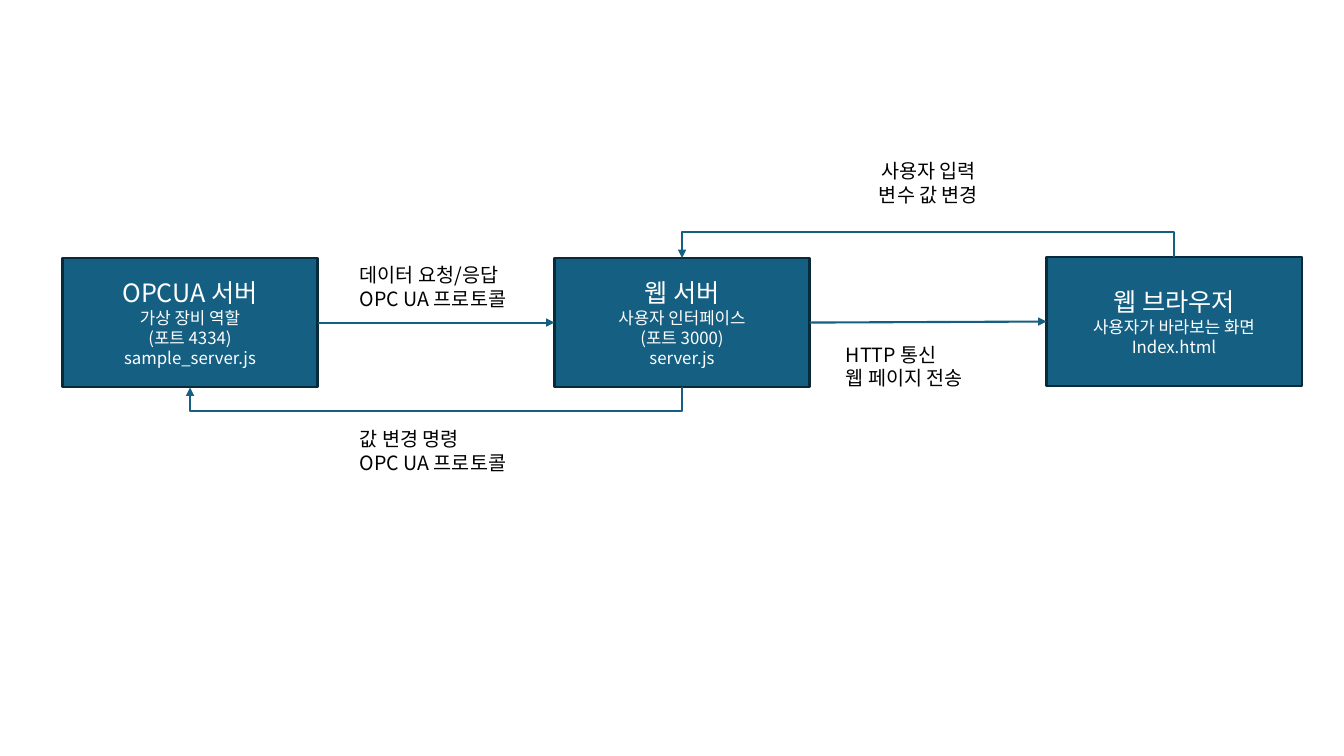
import pptx
import pptx.dml.color
import pptx.enum.shapes
import pptx.enum.text
import pptx.oxml
import pptx.oxml.ns
import pptx.util
from pptx.util import Inches

FONT = "Noto Sans CJK KR"
COLORS = {"box": "156082", "border": "092A39", "light": "FFFFFF", "dark": "000000"}
BOX_W, BOX_H = 2.53, 1.28
LABEL_W, LABEL_H = 1.84, 0.57
TOP, LEFT, BOTTOM, RIGHT = range(4)
BEND, DRIFT = 0.25, 0.01  # depth of an elbow; least width of its frame

# name: (left, top, lines)
BOXES = {
    "opcua": (0.62, 2.56, ["OPCUA 서버", "가상 장비 역할", "(포트 4334)", "sample_server.js"]),
    "browser": (10.38, 2.55, ["웹 브라우저", "사용자가 바라보는 화면", "Index.html"]),
    "web": (5.5, 2.56, ["웹 서버", "사용자 인터페이스", "(포트 3000)", "server.js"]),
}
ELBOWS = [("web", "opcua", BOTTOM), ("browser", "web", TOP)]
ARROWS = [("opcua", "web"), ("web", "browser")]
# (left, top, centred, lines)
LABELS = [
    (3.47, 2.56, False, ["데이터 요청/응답", "OPC UA 프로토콜"]),
    (3.47, 4.19, False, ["값 변경 명령", "OPC UA 프로토콜"]),
    (8.29, 3.35, False, ["HTTP 통신", "웹 페이지 전송"]),
    (8.29, 1.53, True, ["사용자 입력", "변수 값 변경"]),
]


def rgb(name):
    return pptx.dml.color.RGBColor.from_string(COLORS[name])


def add_xml(parent, tag, **attrs):
    el = pptx.oxml.parse_xml(f"<a:{tag} {pptx.oxml.ns.nsdecls('a')}/>")
    for key, value in attrs.items():
        el.set(key, value)
    parent.append(el)


def write_lines(sp, lines, sizes, color, centred):
    tf = sp.text_frame
    tf.word_wrap = True
    tf.text = "\n".join(lines)
    align = pptx.enum.text.PP_ALIGN
    for p, size in zip(tf.paragraphs, sizes):
        p.alignment = align.CENTER if centred else align.LEFT
        for r in p.runs:
            r.font.size = pptx.util.Pt(size)
            r.font.name = FONT
            r.font.color.rgb = rgb(color)
            add_xml(r.font._element, "ea", typeface=FONT)


def add_box(slide, left, top, lines):
    sp = slide.shapes.add_shape(pptx.enum.shapes.MSO_SHAPE.RECTANGLE,
                                Inches(left), Inches(top), Inches(BOX_W), Inches(BOX_H))
    sp.shadow.inherit = False
    sp.fill.solid()
    sp.fill.fore_color.rgb = rgb("box")
    sp.line.color.rgb = rgb("border")
    sp.line.width = pptx.util.Pt(1.5)
    sp.text_frame.vertical_anchor = pptx.enum.text.MSO_ANCHOR.MIDDLE
    write_lines(sp, lines, [18] + [12] * (len(lines) - 1), "light", True)
    return sp


def add_arrow(slide, kind, start, start_side, end, end_side):
    cx = slide.shapes.add_connector(kind, 0, 0, 0, 0)
    cx.begin_connect(start, start_side)
    cx.end_connect(end, end_side)
    cx.line.color.rgb = rgb("box")
    cx.line.width = pptx.util.Pt(1.5)
    add_xml(cx.line._get_or_add_ln(), "tailEnd", type="triangle")
    add_xml(cx._element.spPr, "effectLst")
    return cx


def bend_elbow(cx, side):
    """Turn the elbow's frame so that it leaves and enters by the same side."""
    span = abs(cx.begin_x - cx.end_x)
    mid_x = (cx.begin_x + cx.end_x) // 2
    mid_y = (cx.begin_y + cx.end_y) // 2
    cx.width, cx.height = Inches(DRIFT), span
    cx.left, cx.top = mid_x - cx.width // 2, mid_y - span // 2
    xfrm = cx._element.spPr.find(pptx.oxml.ns.qn("a:xfrm"))
    flip = "1" if side == TOP else "0"
    xfrm.set("rot", str((270 if side == TOP else 90) * 60000))
    xfrm.set("flipH", flip)
    xfrm.set("flipV", flip)
    ratio = round(BEND / DRIFT * 100000) * (-1 if side == TOP else 1)
    geom = cx._element.spPr.find(pptx.oxml.ns.qn("a:prstGeom"))
    add_xml(geom.get_or_add_avLst(), "gd", name="adj1", fmla=f"val {ratio}")


def main():
    prs = pptx.Presentation()
    prs.slide_width, prs.slide_height = Inches(13.33), Inches(7.5)
    slide = prs.slides.add_slide(prs.slide_layouts[6])
    boxes = {name: add_box(slide, *box) for name, box in BOXES.items()}

    kinds = pptx.enum.shapes.MSO_CONNECTOR
    for start, end, side in ELBOWS:
        cx = add_arrow(slide, kinds.ELBOW, boxes[start], side, boxes[end], side)
        bend_elbow(cx, side)
    for start, end in ARROWS:
        add_arrow(slide, kinds.STRAIGHT, boxes[start], RIGHT, boxes[end], LEFT)

    for left, top, centred, lines in LABELS:
        tb = slide.shapes.add_textbox(Inches(left), Inches(top), Inches(LABEL_W), Inches(LABEL_H))
        write_lines(tb, lines, [14] * len(lines), "dark", centred)
        tb.text_frame.auto_size = pptx.enum.text.MSO_AUTO_SIZE.SHAPE_TO_FIT_TEXT
    prs.save("out.pptx")


if __name__ == "__main__":
    main()
